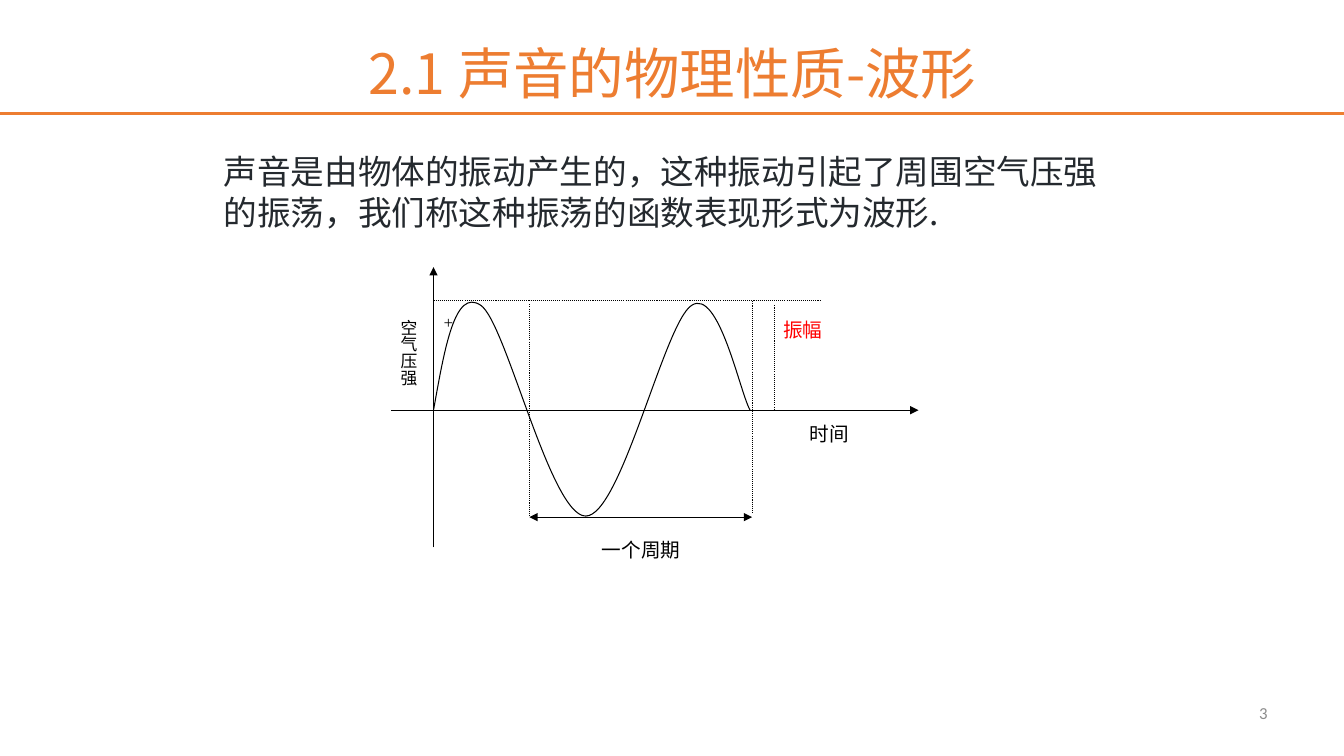
from lxml import etree
from pptx import Presentation
from pptx.dml.color import RGBColor
from pptx.enum.dml import MSO_LINE
from pptx.enum.shapes import MSO_CONNECTOR
from pptx.enum.text import MSO_ANCHOR, PP_ALIGN
from pptx.oxml.ns import qn
from pptx.util import Inches, Pt

STRAIGHT = MSO_CONNECTOR.STRAIGHT
DOTTED = MSO_LINE.ROUND_DOT
TOP, MIDDLE = MSO_ANCHOR.TOP, MSO_ANCHOR.MIDDLE
LEFT, CENTER, RIGHT = PP_ALIGN.LEFT, PP_ALIGN.CENTER, PP_ALIGN.RIGHT

ORANGE = RGBColor(0xED, 0x7D, 0x31)
INK = RGBColor(0x24, 0x29, 0x2E)
GRAY = RGBColor(0x8C, 0x8C, 0x8C)
BLACK = RGBColor(0, 0, 0)
RED = RGBColor(0xFF, 0, 0)

HEADING_FONT = "Noto Sans CJK SC"
LABEL_FONT = "Times New Roman"
NUMBER_FONT = "Calibri"


def add_text(slide, box, text, size, font, color, align=LEFT, anchor=TOP,
             vertical=False, line_height=None):
    holder = slide.shapes.add_textbox(*map(Inches, box))
    frame = holder.text_frame
    frame.word_wrap = True
    frame.vertical_anchor = anchor
    if vertical:
        frame._txBody.bodyPr.set("vert", "eaVert")
    paragraph = frame.paragraphs[0]
    paragraph.alignment = align
    if line_height:
        paragraph.line_spacing = Pt(line_height)
    run = paragraph.add_run()
    run.text = text
    run.font.size = Pt(size)
    run.font.name = font
    run.font.color.rgb = color
    east_asian = etree.SubElement(run._r.get_or_add_rPr(), qn("a:ea"))
    east_asian.set("typeface", HEADING_FONT)
    return frame


def add_line(slide, start, end, color=BLACK, width=0.75, dash=None, arrows=()):
    line = slide.shapes.add_connector(STRAIGHT, *map(Inches, (*start, *end)))
    line.line.color.rgb = color
    line.line.width = Pt(width)
    if dash:
        line.line.dash_style = dash
    for arrow in arrows:
        etree.SubElement(line.line._get_or_add_ln(), qn(arrow)).set("type", "triangle")
    etree.SubElement(line._element.spPr, qn("a:effectLst"))


def add_curve(slide, start, controls):
    builder = slide.shapes.build_freeform(*map(Inches, start))
    builder.add_line_segments(
        [(Inches(x), Inches(y)) for x, y in controls], close=False)
    curve = builder.convert_to_shape()
    curve.shadow.inherit = False
    curve.fill.background()
    curve.line.color.rgb = BLACK
    curve.line.width = Pt(0.75)
    outline = curve._element.find(".//" + qn("a:path"))
    segments = outline.findall(qn("a:lnTo"))
    for first in range(0, len(segments), 3):
        bezier = etree.SubElement(outline, qn("a:cubicBezTo"))
        for segment in segments[first:first + 3]:
            bezier.append(segment[0])
            outline.remove(segment)


def add_header(slide, left, top, width, height):
    title = add_text(slide, (left + 2.17, top + 0.36, 9, 0.77),
                     "2.1 声音的物理性质-波形", 39.6, HEADING_FONT, ORANGE,
                     CENTER, MIDDLE)
    title.margin_top = 0
    rule = top + height
    add_line(slide, (left, rule), (left + width, rule), ORANGE, 2.25)


def add_definition(slide, left, top, width, height):
    add_text(slide, (left, top, width, height),
             "声音是由物体的振动产生的，这种振动引起了周围空气压强的振荡，"
             "我们称这种振荡的函数表现形式为波形.",
             24, HEADING_FONT, INK, line_height=28.8)


def add_waveform(slide, left, top, width, height):
    def at(x, y):
        return left + x, top + y

    origin_x, axis_y = 0.42, 1.42
    crest_y, trough_y = 0.33, 2.48
    period_start, period_end = 1.37, 3.58
    amplitude_x = 3.8
    tail = ("a:tailEnd",)

    add_line(slide, at(0, axis_y), at(width, axis_y), arrows=tail)
    add_line(slide, at(origin_x, height), at(origin_x, 0), arrows=tail)

    guides = [
        ((origin_x, crest_y), (4.25, crest_y)),
        ((period_start, 0.37), (period_start, 2.46)),
        ((period_end, 0.34), (period_end, 2.44)),
        ((amplitude_x, 0.38), (amplitude_x, axis_y)),
    ]
    for start, end in guides:
        add_line(slide, at(*start), at(*end), dash=DOTTED)
    add_line(slide, at(period_start, trough_y), at(period_end, trough_y),
             arrows=("a:headEnd", "a:tailEnd"))

    controls = [
        (0.53, 0.81), (0.63, 0.2), (0.89, 0.38),
        (1.14, 0.55), (1.58, 2.47), (1.93, 2.47),
        (2.28, 2.47), (2.71, 0.55), (2.98, 0.38),
        (3.25, 0.2), (3.46, 1.25), (3.56, axis_y),
    ]
    add_curve(slide, at(origin_x, axis_y), [at(*point) for point in controls])

    labels = [
        ("振幅", 3.79, 0.45, 0.83, 0.34, 14, RED, False),
        ("时间", 4.05, 1.48, 0.85, 0.34, 14, BLACK, False),
        ("空气压强", -0.08, 0.42, 0.4, 1.08, 12, BLACK, True),
        ("一个周期", 1.99, 2.63, 1.38, 0.34, 14, BLACK, False),
        ("+", 0.33, 0.41, 0.4, 0.27, 12, BLACK, True),
    ]
    for text, x, y, label_width, label_height, size, color, vertical in labels:
        add_text(slide, (*at(x, y), label_width, label_height), text, size,
                 LABEL_FONT, color, vertical=vertical,
                 line_height=None if vertical else 17)


def add_page_number(slide, left, top, width, height):
    add_text(slide, (left, top, width, height), "3", 12, NUMBER_FONT, GRAY,
             RIGHT, MIDDLE)


def main():
    deck = Presentation()
    deck.slide_width = Inches(13.33)
    deck.slide_height = Inches(7.5)
    slide = deck.slides.add_slide(deck.slide_layouts[6])
    add_header(slide, 0, 0, 13.33, 1.13)
    add_definition(slide, 2.12, 1.45, 9.09, 0.91)
    add_waveform(slide, 3.88, 2.65, 5.23, 2.78)
    add_page_number(slide, 11.12, 6.87, 1.55, 0.4)
    deck.save("out.pptx")


if __name__ == "__main__":
    main()
